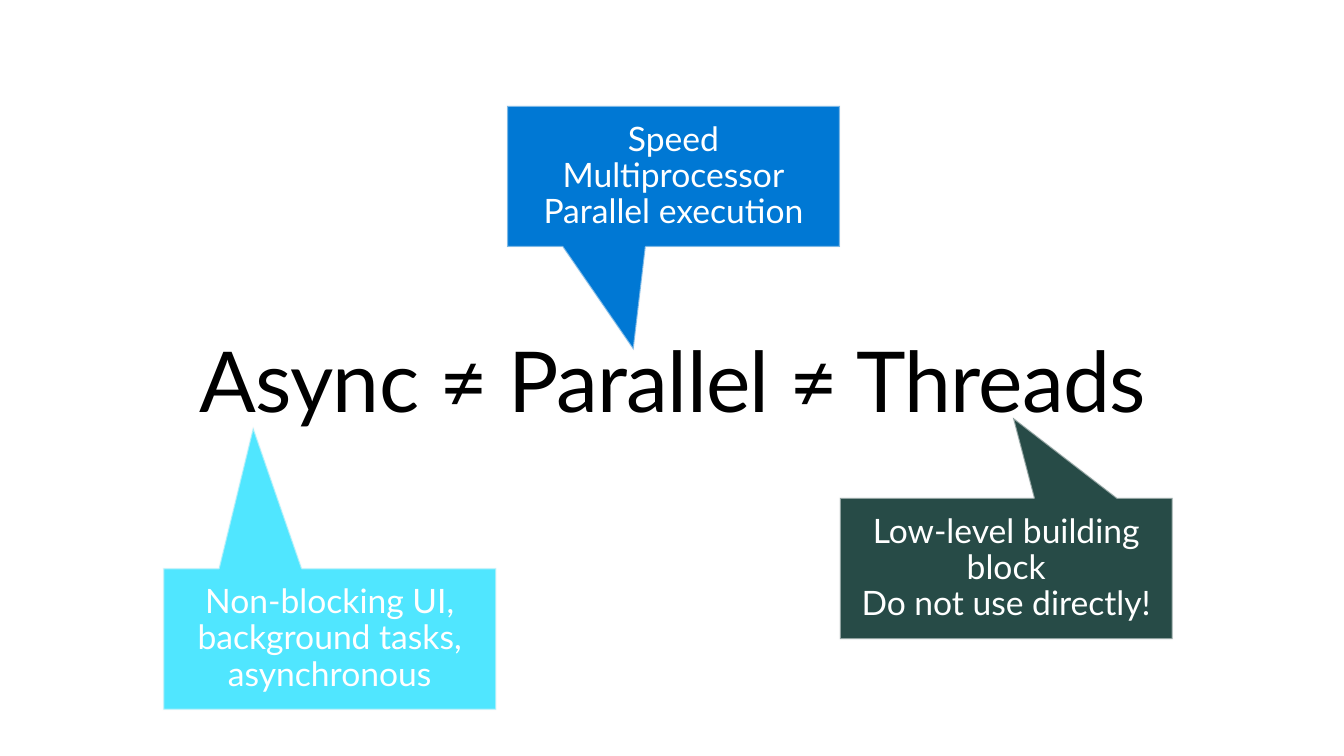
from lxml import etree
from pptx import Presentation
from pptx import util as u
from pptx.dml.color import RGBColor
from pptx.enum import shapes, text
from pptx.oxml.ns import qn

FONT = "Lato"
CALLOUT_SIZE = (3.3, 1.4)
CALLOUTS = [
    ((1.62, 5.64), (-0.23, -1.5), "50E6FF",
     ["Non-blocking UI, background tasks,", "asynchronous"]),
    ((5.03, 1.05), (-0.12, 1.23), "0078D4",
     ["Speed", "Multiprocessor", "Parallel execution"]),
    ((8.33, 4.94), (0.02, -1.07), "274B47",
     ["Low-level building block", "Do not use directly!"]),
]


def paint(color_format, color):
    """Set a colour from a hex string."""
    color_format.rgb = RGBColor.from_string(color)


def set_margins(tf, side, top):
    """Set equal left and right, and equal top and bottom, insets."""
    tf.margin_left = tf.margin_right = u.Inches(side)
    tf.margin_top = tf.margin_bottom = u.Inches(top)


def style_paragraph(p, size, color):
    """Centre a paragraph and set its font."""
    p.alignment = text.PP_ALIGN.CENTER
    p.font.name = FONT
    p.font.size = u.Pt(size)
    paint(p.font.color, color)


def add_title(slide, box, wording):
    """Place the slide title in the given box."""
    sp = slide.shapes.title
    sp.left, sp.top, sp.width, sp.height = map(u.Inches, box)
    tf = sp.text_frame
    tf.word_wrap = True
    tf.auto_size = text.MSO_AUTO_SIZE.SHAPE_TO_FIT_TEXT
    set_margins(tf, 0, 0)
    p = tf.paragraphs[0]
    r = p.add_run()
    r.text = wording
    r._r.get_or_add_rPr().set("spc", "-50")
    style_paragraph(p, 60, "000000")


def add_callout(slide, box, tip, color, lines):
    """Add a filled callout whose pointer ends at the relative tip."""
    sp = slide.shapes.add_shape(
        shapes.MSO_SHAPE.RECTANGULAR_CALLOUT, *map(u.Inches, box))
    sp.adjustments[0], sp.adjustments[1] = tip
    sp.shadow.inherit = False
    sp.fill.solid()
    paint(sp.fill.fore_color, color)
    sp.line.width = u.Pt(1.35)
    paint(sp.line.color, "F9F9F9")
    line_color = sp.line._ln.find(".//" + qn("a:srgbClr"))
    etree.SubElement(line_color, qn("a:alpha")).set("val", "50000")
    tf = sp.text_frame
    tf.word_wrap = True
    tf.vertical_anchor = text.MSO_ANCHOR.MIDDLE
    set_margins(tf, 0.2, 0.16)
    tf.text = "\n".join(lines)
    for p in tf.paragraphs:
        style_paragraph(p, 24, "FFFFFF")
        p.line_spacing = 0.9


def main():
    """Build and save the slide."""
    prs = Presentation()
    prs.slide_width, prs.slide_height = u.Inches(13.33), u.Inches(7.5)
    slide = prs.slides.add_slide(prs.slide_layouts[5])
    add_title(slide, (1.44, 3.25, 10.46, 1.01), "Async ≠ Parallel ≠ Threads")
    for corner, tip, color, lines in CALLOUTS:
        add_callout(slide, corner + CALLOUT_SIZE, tip, color, lines)
    prs.save("out.pptx")


if __name__ == "__main__":
    main()
